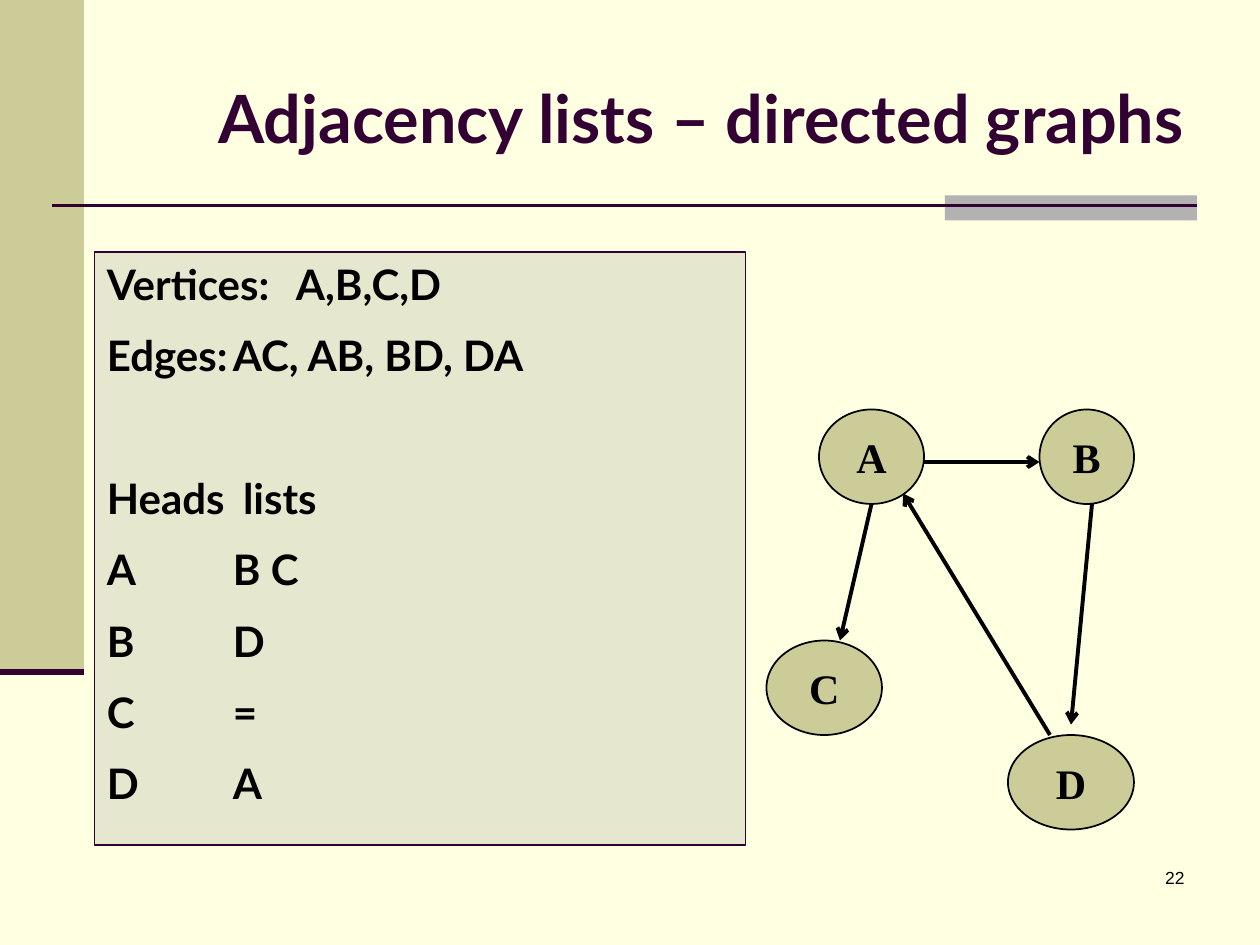
"""Build a slide on adjacency lists for a directed graph."""
from lxml import etree
from pptx import Presentation
from pptx.dml.color import RGBColor
from pptx.enum.shapes import MSO_CONNECTOR, MSO_SHAPE
from pptx.enum.text import MSO_ANCHOR, PP_ALIGN
from pptx.oxml.ns import qn
from pptx.util import Inches, Pt

RECT, OVAL = MSO_SHAPE.RECTANGLE, MSO_SHAPE.OVAL
STRAIGHT = MSO_CONNECTOR.STRAIGHT
TOP, MIDDLE = MSO_ANCHOR.TOP, MSO_ANCHOR.MIDDLE
LEFT, CENTER, RIGHT = PP_ALIGN.LEFT, PP_ALIGN.CENTER, PP_ALIGN.RIGHT

CREAM = RGBColor(0xFF, 0xFF, 0xE1)
KHAKI = RGBColor(0xCC, 0xCC, 0x99)
PALE = RGBColor(0xE5, 0xE7, 0xCF)
GRAY = RGBColor(0xB2, 0xB2, 0xB2)
PLUM = RGBColor(0x33, 0x00, 0x33)
BLACK = RGBColor(0x00, 0x00, 0x00)

prs = Presentation()
prs.slide_width, prs.slide_height = Inches(10), Inches(7.5)
U = prs.slide_width / 120
s = prs.slides.add_slide(prs.slide_layouts[5])
s.background.fill.solid()
s.background.fill.fore_color.rgb = CREAM


def add_box(kind, at, fill, line=None):
    sp = s.shapes.add_shape(kind, *[round(v * U) for v in at])
    sp.shadow.inherit = False
    sp.fill.solid()
    sp.fill.fore_color.rgb = fill
    if line is None:
        sp.line.fill.background()
    else:
        sp.line.color.rgb = line
        sp.line.width = Pt(1)
    return sp


def add_line(ends, color, width):
    cx = s.shapes.add_connector(STRAIGHT, *[round(v * U) for v in ends])
    cx.line.color.rgb = color
    cx.line.width = Pt(width)
    etree.SubElement(cx._element.spPr, qn("a:effectLst"))
    return cx


add_box(RECT, (0, 0, 8, 64), KHAKI)
add_box(RECT, (90, 18.6, 24, 2.4), GRAY)
add_line((5, 19.6, 114, 19.6), PLUM, 1.5)
add_line((0, 64, 8, 64), PLUM, 3.5)

title = s.shapes.title
title.left, title.top, title.width, title.height = [
    round(v * U) for v in (12, 3.6, 102, 15)]
number = s.shapes.add_textbox(*[round(v * U) for v in (89, 82, 25, 6)])
lists = add_box(RECT, (9, 24, 62, 56.5), PALE, PLUM)

texts = [
    (title, ["Adjacency lists – directed graphs"], "Lato", 38, PLUM, True, RIGHT, MIDDLE, True),
    (number, ["22"], "Arial", 10, BLACK, False, RIGHT, TOP, True),
    (lists, ["Vertices:\tA,B,C,D", "Edges:\tAC, AB, BD, DA", "Heads\t lists",
             "A\t\tB C", "B\t\tD", "C\t\t=", "D\t\tA"],
     "Lato", 24, BLACK, True, LEFT, TOP, True),
]
nodes = {"A": (78, 39, 10, 9), "B": (99, 39, 9, 9),
         "C": (73, 61, 11, 9), "D": (96, 70, 12, 9)}
for name, at in nodes.items():
    texts.append((add_box(OVAL, at, KHAKI, BLACK), [name], "Times New Roman", 24,
                  BLACK, True, CENTER, MIDDLE, False))

for sp, lines, font, size, color, bold, align, anchor, wrap in texts:
    tf = sp.text_frame
    tf.word_wrap = wrap
    tf.vertical_anchor = anchor
    for i, line in enumerate(lines):
        p = tf.add_paragraph() if i else tf.paragraphs[0]
        p.alignment = align
        if i:
            p.space_before = Pt(size / 2)
        r = p.add_run()
        r.text = line
        r.font.name, r.font.size, r.font.bold = font, Pt(size), bold
        r.font.color.rgb = color

lists.text_frame.paragraphs[2].space_before = Pt(52.8)

edges = {"AB": (88, 44, 99, 44), "AC": (83, 48, 80, 61),
         "DA": (100, 70, 86, 47), "BD": (104, 48, 102, 69)}
for ends in edges.values():
    cx = add_line(ends, BLACK, 2.25)
    etree.SubElement(cx.line._get_or_add_ln(), qn("a:tailEnd"), type="arrow")

prs.save("out.pptx")
